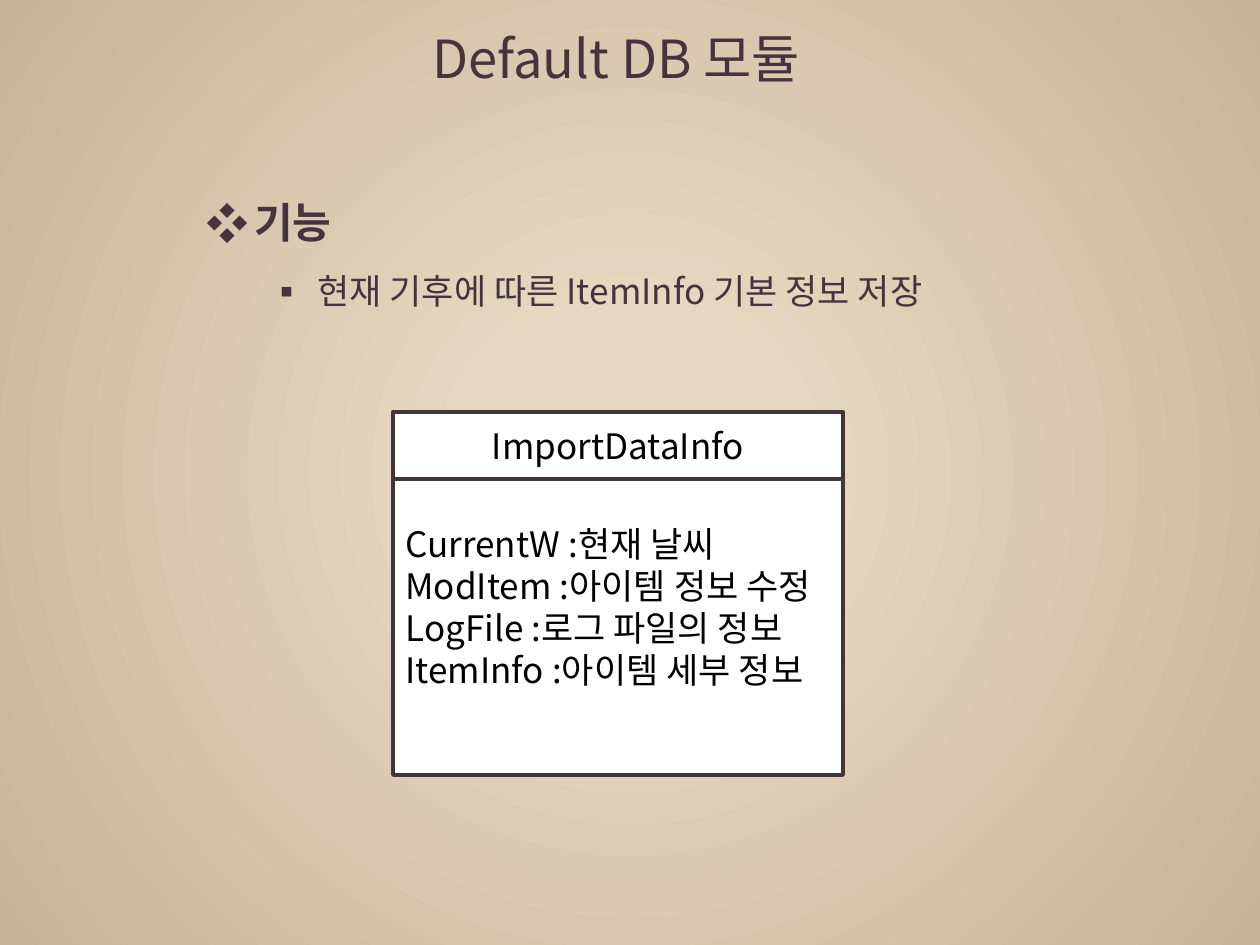
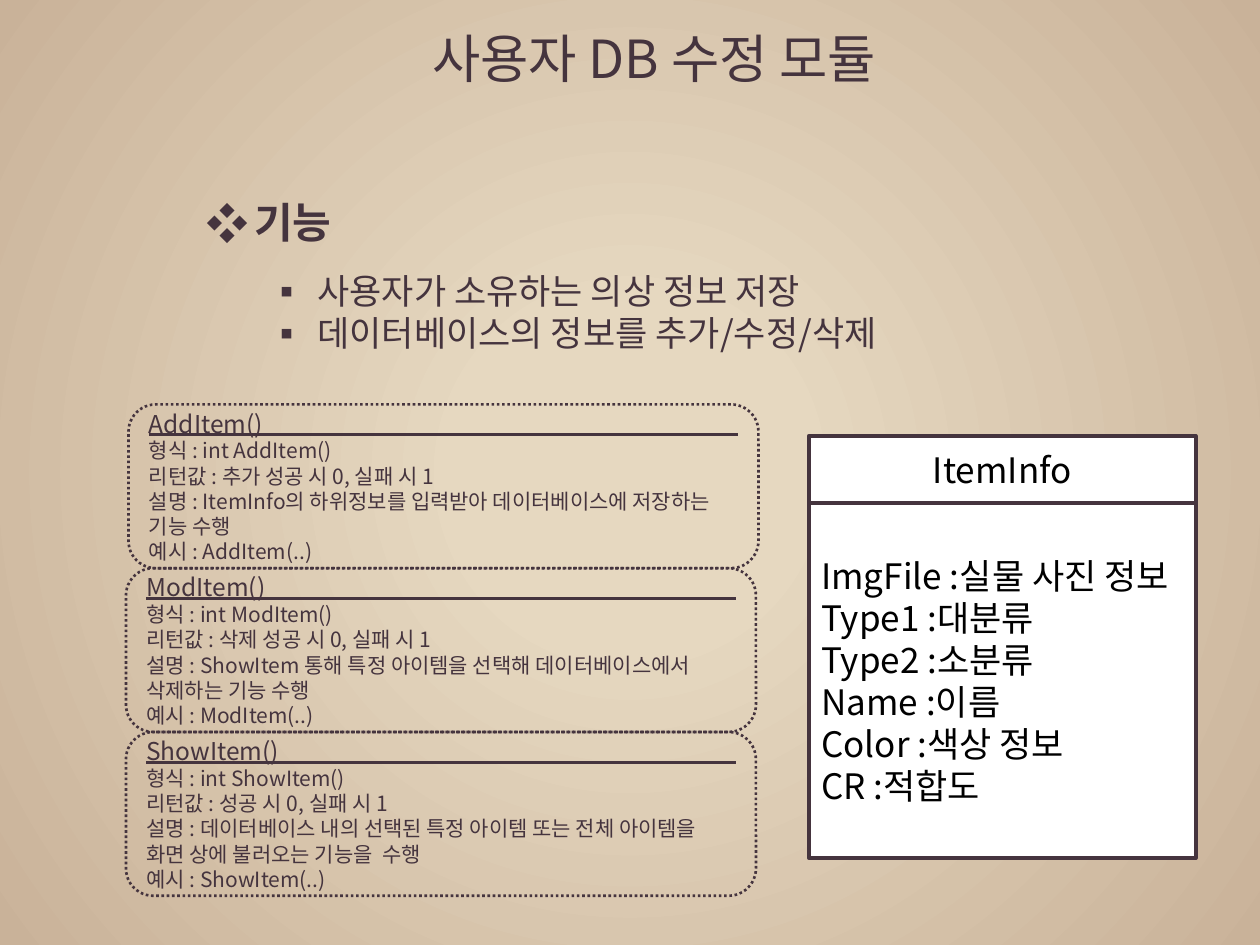
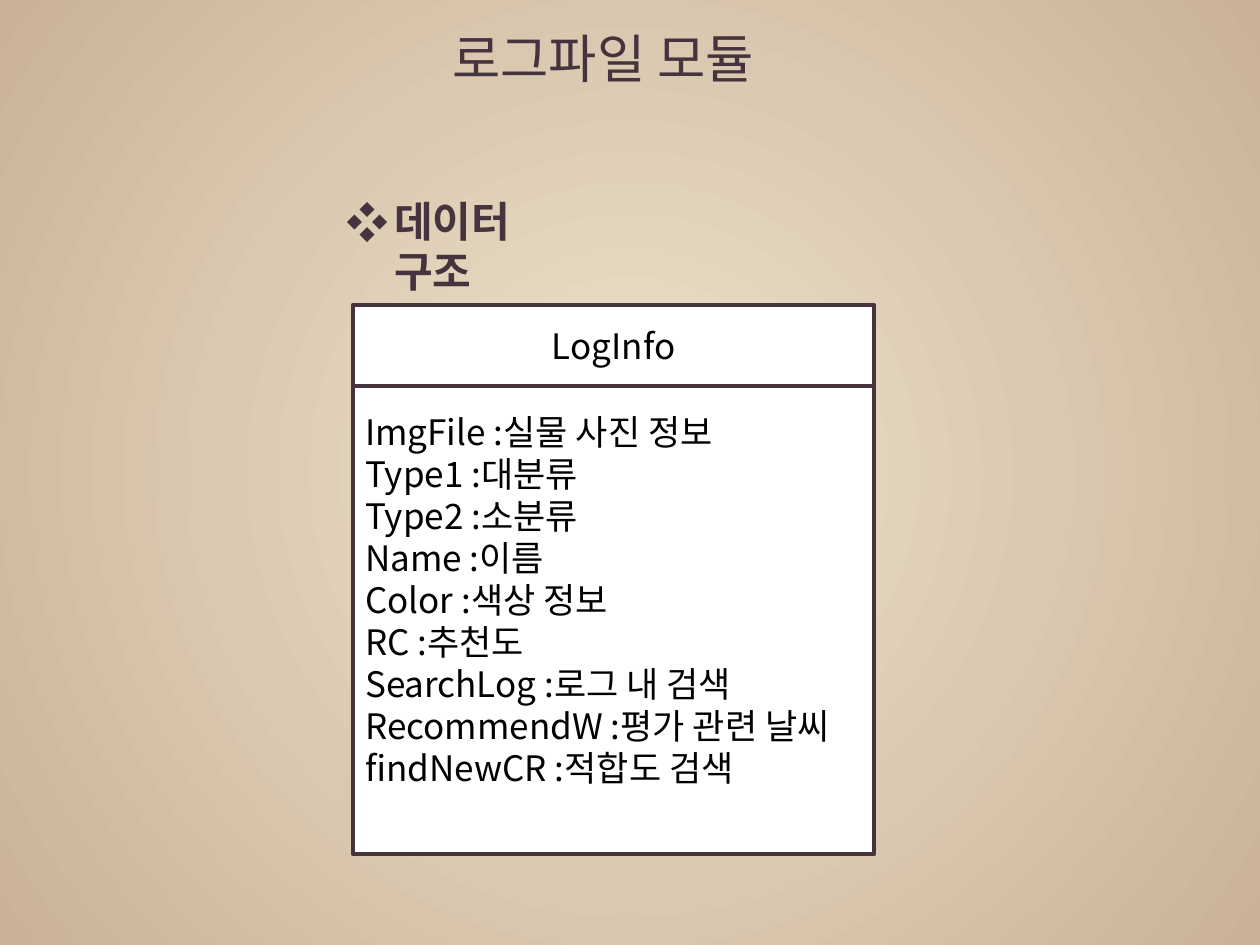
import pptx
import pptx.util
import pptx.dml.color
import pptx.enum.dml
import pptx.enum.shapes
import pptx.enum.text
import pptx.oxml
import pptx.oxml.ns
from lxml import etree

Inches, Pt, qn = pptx.util.Inches, pptx.util.Pt, pptx.oxml.ns.qn
SHAPE = pptx.enum.shapes.MSO_SHAPE
ALIGN = pptx.enum.text.PP_ALIGN
ANCHOR = pptx.enum.text.MSO_ANCHOR
DOTTED = pptx.enum.dml.MSO_LINE.ROUND_DOT

# Shared style
FONT = "Noto Sans CJK KR"
INK, BLACK, WHITE = "45343E", "000000", "FFFFFF"
GRADIENT = [(0.21, "E6D8C0"), (1, "C9B299")]
TITLE = {"size": Pt(30), "bold": False}
HEADING = {"size": Pt(24), "bold": True}
POINT = {"size": Pt(20), "bold": False}
FUNCTION_NAME = {"size": Pt(14)}
FUNCTION_LINE = {"size": Pt(12)}

# Content
ITEM_FIELDS = ["ImgFile :실물 사진 정보", "Type1 :대분류", "Type2 :소분류",
               "Name :이름", "Color :색상 정보"]

SLIDES = [
    {"title": "Default DB 모듈", "title_left": 3.33,
     "heading": "기능", "outline_at": (1.54, 1.51, 6.93, 1.03),
     "points": ["현재 기후에 따른 ItemInfo 기본 정보 저장"],
     "class": {"name": "ImportDataInfo", "at": (3.12, 3.27, 3.57),
               "heights": (0.53, 2.35), "bottom_margin": 0.38,
               "fields": ["CurrentW :현재 날씨", "ModItem :아이템 정보 수정",
                          "LogFile :로그 파일의 정보", "ItemInfo :아이템 세부 정보"]}},
    {"title": "사용자 DB 수정 모듈", "title_left": 3.33,
     "heading": "기능", "outline_at": (1.54, 1.51, 6.93, 1.36),
     "points": ["사용자가 소유하는 의상 정보 저장",
                "데이터베이스의 정보를 추가/수정/삭제"],
     "class": {"name": "ItemInfo", "at": (6.42, 3.46, 3.07),
               "heights": (0.53, 2.82), "bottom_margin": 0.05,
               "fields": ITEM_FIELDS + ["CR :적합도"]},
     "functions": [
         ("AddItem", 1.02, "추가 성공 시 0, 실패 시 1",
          "ItemInfo의 하위정보를 입력받아 데이터베이스에 저장하는 기능 수행"),
         ("ModItem", 1, "삭제 성공 시 0, 실패 시 1",
          "ShowItem 통해 특정 아이템을 선택해 데이터베이스에서 삭제하는 기능 수행"),
         ("ShowItem", 1, "성공 시 0, 실패 시 1",
          "데이터베이스 내의 선택된 특정 아이템 또는 전체 아이템을 화면 상에 불러오는 기능을  수행"),
     ]},
    {"title": "로그파일 모듈", "title_left": 3.49,
     "heading": "데이터 구조", "outline_at": (2.65, 1.5, 2.14, 0.91),
     "points": [],
     "class": {"name": "LogInfo", "at": (2.8, 2.42, 4.14),
               "heights": (0.64, 3.72), "bottom_margin": 0.38,
               "fields": ITEM_FIELDS + ["RC :추천도", "SearchLog :로그 내 검색",
                                        "RecommendW :평가 관련 날씨",
                                        "findNewCR :적합도 검색"]}},
]

# Function cards
CARD_TOP, CARD_W, CARD_H = 3.21, 5, 1.3
RULE_INSET, RULE_DROP = 0.16, 0.24


def rgb(value):
    return pptx.dml.color.RGBColor.from_string(value)


def inches(*values):
    return [Inches(v) for v in values]


def write(tf, lines, color=INK, align=ALIGN.LEFT):
    """Fill a text frame with (text, format) lines and return its paragraphs."""
    tf.word_wrap = True
    for i, (text, style) in enumerate(lines):
        p = tf.paragraphs[0] if i == 0 else tf.add_paragraph()
        p.alignment = align
        r = p.add_run()
        r.text = text
        r.font.name = FONT
        r.font.color.rgb = rgb(color)
        for key, value in style.items():
            setattr(r.font, key, value)
        etree.SubElement(r._r.get_or_add_rPr(), qn("a:ea"), typeface=FONT)
    return tf.paragraphs


def add_bullet(p, char, left, hang):
    pPr = p._p.get_or_add_pPr()
    pPr.set("marL", str(Inches(left)))
    pPr.set("indent", str(-Inches(hang)))
    clr = etree.SubElement(pPr, qn("a:buClr"))
    etree.SubElement(clr, qn("a:srgbClr"), val=INK)
    etree.SubElement(pPr, qn("a:buFont"), typeface=FONT)
    etree.SubElement(pPr, qn("a:buChar"), char=char)


def add_box(s, kind, at, line_width, fill=None):
    sp = s.shapes.add_shape(kind, *inches(*at))
    sp.shadow.inherit = False
    if fill:
        sp.fill.solid()
        sp.fill.fore_color.rgb = rgb(fill)
    else:
        sp.fill.background()
    sp.line.color.rgb = rgb(INK)
    sp.line.width = Pt(line_width)
    sp.text_frame.vertical_anchor = ANCHOR.MIDDLE
    return sp


def set_background(master):
    fill = master.background.fill
    fill.gradient()
    for stop, (position, color) in zip(fill.gradient_stops, GRADIENT):
        stop.position = position
        stop.color.rgb = rgb(color)
    grad = master._element.find(".//" + qn("p:bgPr") + "/" + qn("a:gradFill"))
    grad.remove(grad.find(qn("a:lin")))
    circle = etree.SubElement(grad, qn("a:path"), path="circle")
    etree.SubElement(circle, qn("a:fillToRect"),
                     {side: "50000" for side in "ltrb"})


def add_title(s, text, left):
    sp = s.shapes.title
    sp.left, sp.top, sp.width, sp.height = inches(left, 0.16, 4.06, 0.61)
    tf = sp.text_frame
    tf.vertical_anchor = ANCHOR.TOP
    tf.auto_size = pptx.enum.text.MSO_AUTO_SIZE.SHAPE_TO_FIT_TEXT
    write(tf, [(text, TITLE)])


def add_outline(s, heading, points, at):
    tf = s.shapes.add_textbox(*inches(*at)).text_frame
    lines = [(heading, HEADING)] + [(point, POINT) for point in points]
    first, *rest = write(tf, lines)
    add_bullet(first, "❖", 0.38, 0.38)
    for i, p in enumerate(rest):
        p.space_before = Pt(0 if i else 13)
        add_bullet(p, "▪", 0.88, 0.38)


def add_class(s, box):
    left, top, width = box["at"]
    head_h, body_h = box["heights"]
    head = add_box(s, SHAPE.RECTANGLE, (left, top, width, head_h), 2.25, WHITE)
    write(head.text_frame, [(box["name"], POINT)], BLACK, ALIGN.CENTER)
    body = add_box(s, SHAPE.RECTANGLE, (left, top + head_h, width, body_h), 2.25, WHITE)
    body.text_frame.margin_bottom = Inches(box["bottom_margin"])
    write(body.text_frame, [(field, POINT) for field in box["fields"]], BLACK)


def add_function(s, row, name, left, result, purpose):
    top = CARD_TOP + row * CARD_H
    card = add_box(s, SHAPE.ROUNDED_RECTANGLE, (left, top, CARD_W, CARD_H), 1.5)
    card.line.dash_style = DOTTED
    details = [f"형식 : int {name}()", f"리턴값 : {result}",
               f"설명 : {purpose}", f"예시 : {name}(..)"]
    write(card.text_frame, [(f"{name}()", FUNCTION_NAME)]
          + [(line, FUNCTION_LINE) for line in details])
    # Rule under the function name
    y = top + RULE_DROP
    rule = s.shapes.add_connector(
        pptx.enum.shapes.MSO_CONNECTOR.STRAIGHT,
        *inches(left + RULE_INSET, y, left + CARD_W - RULE_INSET, y))
    rule.line.color.rgb = rgb(INK)
    rule.line.width = Pt(1.5)
    etree.SubElement(rule._element.spPr, qn("a:effectLst"))


def main():
    prs = pptx.Presentation()
    prs.slide_width, prs.slide_height = inches(10, 7.5)
    set_background(prs.slide_master)
    for content in SLIDES:
        s = prs.slides.add_slide(prs.slide_layouts[5])
        add_title(s, content["title"], content["title_left"])
        add_outline(s, content["heading"], content["points"], content["outline_at"])
        add_class(s, content["class"])
        for row, function in enumerate(content.get("functions", [])):
            add_function(s, row, *function)
    prs.save("out.pptx")


if __name__ == "__main__":
    main()
